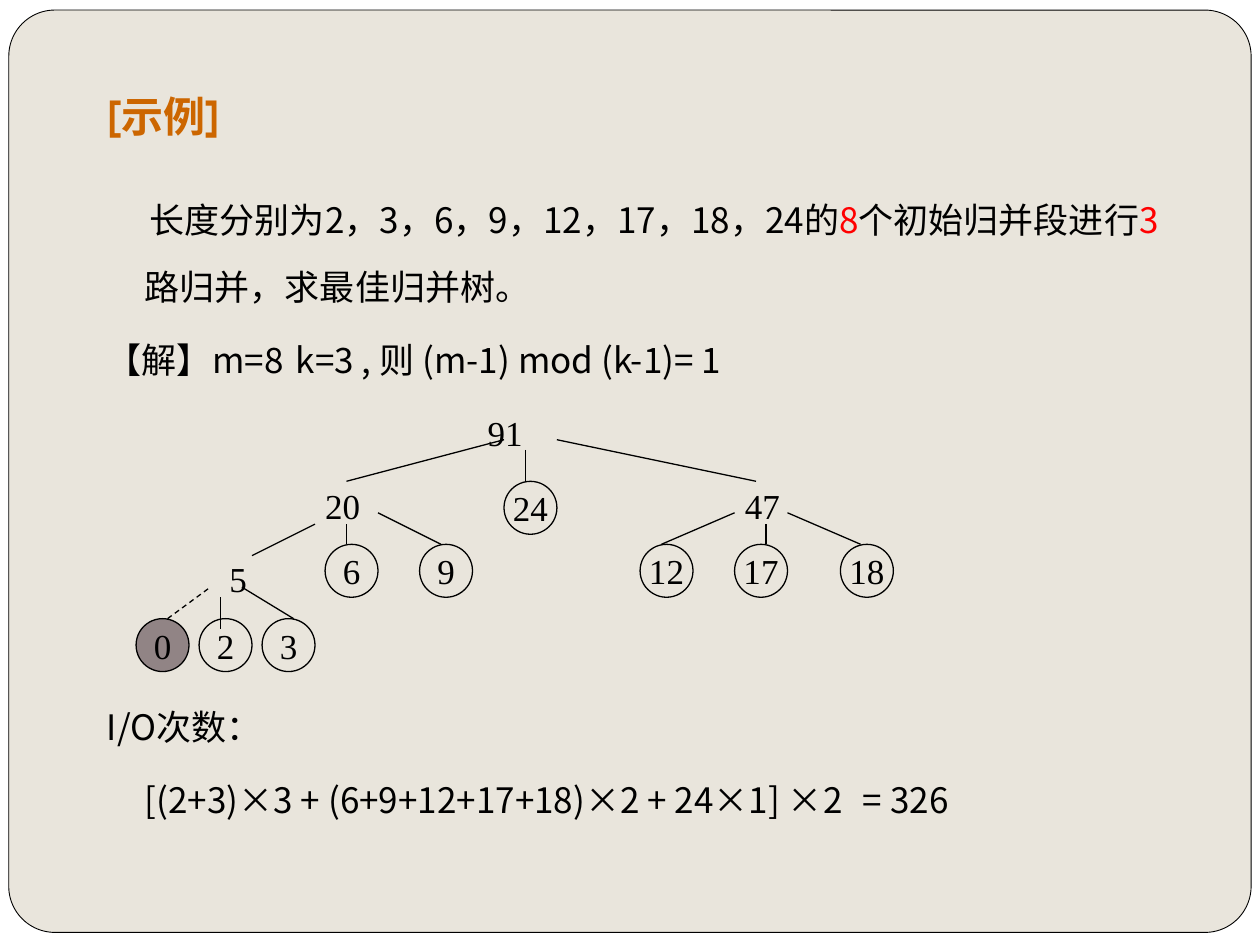
import pptx
import pptx.dml.color
import pptx.enum.dml
import pptx.enum.shapes
import pptx.enum.text
import pptx.oxml.ns
import pptx.util
from lxml import etree
from pptx.util import Inches, Pt

COLORS = {"page": "FFFFFF", "card": "E9E5DC", "ink": "000000",
          "title": "CC6600", "accent": "FF0000", "dummy": "918485"}
SANS, SERIF, TITLE = "Noto Sans CJK SC", "Times New Roman", "Cabin"
NODE = 0.42
LEAVES = [("24", 3, 0.57),
          ("6", 1.58, 1.07), ("9", 2.33, 1.07),
          ("12", 4.08, 1.07), ("17", 4.83, 1.07), ("18", 5.67, 1.07),
          ("0", 0.08, 1.66), ("2", 0.58, 1.66), ("3", 1.08, 1.66)]
SUMS = [("91", 3.01, 0.18), ("20", 1.72, 0.76), ("47", 5.05, 0.76), ("5", 0.89, 1.34)]
BRANCHES = [(1.75, 0.57, 3, 0.24), (3.17, 0.32, 3.17, 0.57), (3.42, 0.24, 5, 0.57),
            (1, 1.16, 1.5, 0.91), (1.75, 0.91, 1.75, 1.07), (2, 0.82, 2.5, 1.07),
            (4.25, 1.07, 4.83, 0.82), (5.08, 0.91, 5.08, 1.07), (5.25, 0.82, 5.83, 1.07),
            (0.75, 1.49, 0.75, 1.74), (0.92, 1.41, 1.33, 1.66)]
DUMMY_BRANCH = (0.33, 1.66, 0.67, 1.41)


def rgb(name):
    """Return the named palette colour."""
    return pptx.dml.color.RGBColor.from_string(COLORS[name])


def format_run(r, font, size=20, color="ink", bold=False):
    """Give a run its Latin and East Asian font, size and colour."""
    r.font.size, r.font.bold, r.font.name = Pt(size), bold, font
    r.font.color.rgb = rgb(color)
    ea = etree.SubElement(r.font._element, pptx.oxml.ns.qn("a:ea"))
    ea.set("typeface", font)


def outline(sp, width, fill=None):
    """Style a shape with a thin dark line and an optional fill."""
    sp.shadow.inherit = False
    sp.line.color.rgb, sp.line.width = rgb("ink"), Pt(width)
    if fill:
        sp.fill.solid()
        sp.fill.fore_color.rgb = rgb(fill)
    else:
        sp.fill.background()


def add_card(s, x, y, w, h):
    """Place the rounded card behind everything else."""
    sp = s.shapes.add_shape(pptx.enum.shapes.MSO_SHAPE.ROUNDED_RECTANGLE,
                            Inches(x), Inches(y), Inches(w), Inches(h))
    sp.adjustments[0] = 0.05
    outline(sp, 0.5, "card")
    s.shapes._spTree.insert(2, sp._element)


def set_title(s, text, x, y, w, h):
    """Move and format the title placeholder."""
    sp = s.shapes.title
    sp.left, sp.top, sp.width, sp.height = Inches(x), Inches(y), Inches(w), Inches(h)
    tf = sp.text_frame
    tf.text = text
    tf.vertical_anchor = pptx.enum.text.MSO_ANCHOR.MIDDLE
    p = tf.paragraphs[0]
    p.alignment = pptx.enum.text.PP_ALIGN.LEFT
    format_run(p.runs[0], TITLE, 24, "title", True)


def add_body(s, paragraphs, x, y, w, h):
    """Write paragraphs given as (margin, indent, tab, [(text, colour)])."""
    tf = s.shapes.add_textbox(Inches(x), Inches(y), Inches(w), Inches(h)).text_frame
    tf.word_wrap = True
    for i, (margin, indent, tab, runs) in enumerate(paragraphs):
        p = tf.add_paragraph() if i else tf.paragraphs[0]
        p.line_spacing = Pt(38.3)
        p.space_before = Pt(3.4 if i else 0)
        pPr = p._p.get_or_add_pPr()
        pPr.set("marL", str(Inches(margin)))
        pPr.set("indent", str(Inches(indent)))
        if tab:
            tabs = etree.SubElement(pPr, pptx.oxml.ns.qn("a:tabLst"))
            etree.SubElement(tabs, pptx.oxml.ns.qn("a:tab"), pos=str(Inches(tab)), algn="l")
        for text, color in runs:
            r = p.add_run()
            r.text = text
            format_run(r, SANS, color=color)


def set_label(sp, text):
    """Centre a tree label in its shape."""
    tf = sp.text_frame
    tf.margin_left = tf.margin_right = tf.margin_top = tf.margin_bottom = 0
    tf.word_wrap = False
    tf.vertical_anchor = pptx.enum.text.MSO_ANCHOR.MIDDLE
    tf.text = text
    p = tf.paragraphs[0]
    p.alignment = pptx.enum.text.PP_ALIGN.CENTER
    format_run(p.runs[0], SERIF)


def add_branch(s, x, y, ends):
    """Draw one tree edge and return it."""
    x1, y1, x2, y2 = ends
    c = s.shapes.add_connector(pptx.enum.shapes.MSO_CONNECTOR.STRAIGHT, Inches(x + x1),
                               Inches(y + y1), Inches(x + x2), Inches(y + y2))
    c.line.color.rgb, c.line.width = rgb("ink"), Pt(0.75)
    etree.SubElement(c._element.spPr, pptx.oxml.ns.qn("a:effectLst"))
    return c


def add_tree(s, x, y):
    """Draw the merge tree from the top left corner of its box."""
    for text, dx, dy in LEAVES:
        sp = s.shapes.add_shape(pptx.enum.shapes.MSO_SHAPE.OVAL, Inches(x + dx),
                                Inches(y + dy), Inches(NODE), Inches(NODE))
        outline(sp, 0.75, "dummy" if text == "0" else None)
        set_label(sp, text)
    for ends in BRANCHES:
        add_branch(s, x, y, ends)
    dashed = add_branch(s, x, y, DUMMY_BRANCH)
    dashed.line.dash_style = pptx.enum.dml.MSO_LINE.DASH
    for text, cx, cy in SUMS:
        sp = s.shapes.add_textbox(Inches(x + cx - NODE / 2), Inches(y + cy - NODE / 2),
                                  Inches(NODE), Inches(NODE))
        set_label(sp, text)


def main():
    """Build the slide and save it."""
    prs = pptx.Presentation()
    prs.slide_width, prs.slide_height = Inches(10), Inches(7.5)
    s = prs.slides.add_slide(prs.slide_layouts[5])
    s.background.fill.solid()
    s.background.fill.fore_color.rgb = rgb("page")
    add_card(s, 0.07, 0.08, 9.86, 7.32)
    set_title(s, "[示例]", 0.75, 0.67, 8.5, 0.5)
    add_body(s, [
        (0.3, 0.04, None, [("长度分别为2，3，6，9，12，17，18，24的", "ink"), ("8", "accent"),
                           ("个初始归并段进行", "ink"), ("3", "accent"),
                           ("路归并，求最佳归并树。", "ink")]),
        (0, 0, 1.66, [("【解】m=8\tk=3 , 则 (m-1) mod (k-1)= 1", "ink")]),
    ], 0.75, 1.33, 8.55, 1.75)
    add_tree(s, 1, 3.25)
    add_body(s, [
        (0, 0, None, [("I/O次数：", "ink")]),
        (0, 0.3, 5.97, [("[(2+3)×3 + (6+9+12+17+18)×2 + 24×1] ×2\t= 326", "ink")]),
    ], 0.75, 5.35, 8.5, 1.25)
    prs.save("out.pptx")


if __name__ == "__main__":
    main()
